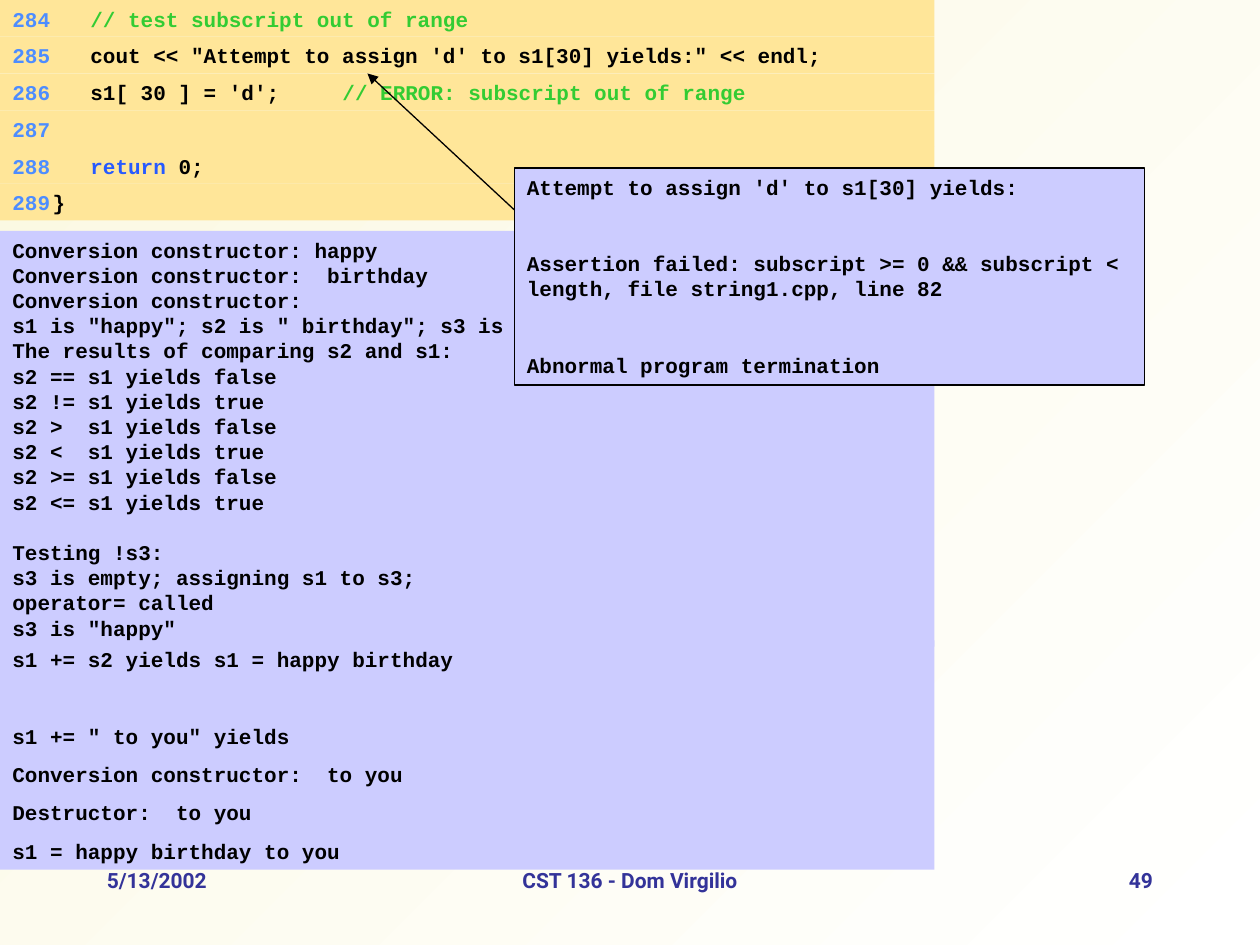
from dataclasses import dataclass
from typing import NamedTuple

from lxml.etree import SubElement
from pptx import Presentation
from pptx.dml.color import RGBColor
from pptx.enum.shapes import MSO_CONNECTOR as Connector, MSO_SHAPE as Preset
from pptx.enum.text import MSO_ANCHOR as Anchor, MSO_AUTO_SIZE as AutoSize, PP_ALIGN as Align
from pptx.oxml.ns import qn
from pptx.util import Pt

BLACK = RGBColor(0x00, 0x00, 0x00)
WHITE = RGBColor(0xFF, 0xFF, 0xFF)
CREAM = RGBColor(0xFB, 0xF8, 0xE1)
SAND = RGBColor(0xFF, 0xE6, 0x99)
LAVENDER = RGBColor(0xCC, 0xCC, 0xFF)
NUMBER_BLUE = RGBColor(0x4D, 0x8D, 0xFF)
KEYWORD_BLUE = RGBColor(0x27, 0x5A, 0xFF)
COMMENT_GREEN = RGBColor(0x33, 0xCC, 0x33)
FOOTER_BLUE = RGBColor(0x33, 0x33, 0x99)

CODE_FONT, FOOTER_FONT = "Courier New", "Roboto"
TEXT_SIZE = 12
LINE_HEIGHT = 14.4
PARA_GAP = 7.5
SECTION_GAP = LINE_HEIGHT + 2 * PARA_GAP
PANEL_WIDTH = 534
ROW_HEIGHT = 21
FIRST_LINE = 284
CODE_TABS = ((10.8, "r"), (23, "l"))


class Span(NamedTuple):
    text: str
    color: RGBColor = BLACK


class Line(NamedTuple):
    text: str
    before: float = 0


class Frame(NamedTuple):
    left: float
    top: float
    width: float
    height: float


@dataclass
class Panel:
    frame: Frame
    lines: list[Line]
    outlined: bool = False


@dataclass
class FooterItem:
    text: str
    left: float
    width: float
    align: Align


CODE_ROWS = [
    [Span("   // test subscript out of range", COMMENT_GREEN)],
    [Span("   cout << \"Attempt to assign 'd' to s1[30] yields:\" << endl;")],
    [Span("   s1[ 30 ] = 'd';     "),
     Span("// ERROR: subscript out of range", COMMENT_GREEN)],
    [],
    [Span("   return", KEYWORD_BLUE), Span(" 0;")],
    [Span("}")],
]

PANELS = [
    Panel(Frame(0, 132, PANEL_WIDTH, 237.6), [
        Line("Conversion constructor: happy"),
        Line("Conversion constructor:  birthday"),
        Line("Conversion constructor:"),
        Line('s1 is "happy"; s2 is " birthday"; s3 is ""'),
        Line("The results of comparing s2 and s1:"),
        Line("s2 == s1 yields false"),
        Line("s2 != s1 yields true"),
        Line("s2 >  s1 yields false"),
        Line("s2 <  s1 yields true"),
        Line("s2 >= s1 yields false"),
        Line("s2 <= s1 yields true"),
        Line("Testing !s3:", LINE_HEIGHT),
        Line("s3 is empty; assigning s1 to s3;"),
        Line("operator= called"),
        Line('s3 is "happy"'),
    ]),
    Panel(Frame(0, 366, PANEL_WIDTH, 131), [
        Line("s1 += s2 yields s1 = happy birthday"),
        Line('s1 += " to you" yields', SECTION_GAP),
        Line("Conversion constructor:  to you", PARA_GAP),
        Line("Destructor:  to you", PARA_GAP),
        Line("s1 = happy birthday to you", PARA_GAP),
    ]),
    Panel(Frame(294, 96, 360, 124), [
        Line("Attempt to assign 'd' to s1[30] yields:"),
        Line("Assertion failed: subscript >= 0 && subscript < length, "
             "file string1.cpp, line 82", SECTION_GAP),
        Line("Abnormal program termination", SECTION_GAP),
    ], outlined=True),
]

FOOTER = [
    FooterItem("CST 136 - Dom Virgilio", 246, 228, Align.CENTER),
    FooterItem("49", 516, 150, Align.RIGHT),
    FooterItem("5/13/2002", 54, 150, Align.LEFT),
]


def add_span(para, span: Span, font: str = CODE_FONT) -> None:
    run = para.add_run()
    run.text = span.text
    run.font.name = font
    run.font.size = Pt(TEXT_SIZE)
    run.font.bold = True
    run.font.color.rgb = span.color


def add_tabs(para) -> None:
    tabs = SubElement(para._p.get_or_add_pPr(), qn("a:tabLst"))
    for position, align in CODE_TABS:
        SubElement(tabs, qn("a:tab"), pos=str(Pt(position)), algn=align)


def add_block(page, frame: Frame, fill: RGBColor):
    """Add a plain filled rectangle whose text starts at the top left."""
    block = page.shapes.add_shape(Preset.RECTANGLE, *map(Pt, frame))
    block.shadow.inherit = False
    block.fill.solid()
    block.fill.fore_color.rgb = fill
    block.line.fill.background()
    block.text_frame.word_wrap = True
    block.text_frame.vertical_anchor = Anchor.TOP
    return block


def add_code_row(page, index: int, spans: list[Span]) -> None:
    frame = Frame(0, index * ROW_HEIGHT, PANEL_WIDTH, ROW_HEIGHT)
    para = add_block(page, frame, SAND).text_frame.paragraphs[0]
    add_tabs(para)
    para.alignment = Align.LEFT
    for span in [Span(f"\t{FIRST_LINE + index}\t", NUMBER_BLUE), *spans]:
        add_span(para, span)


def add_panel(page, panel: Panel) -> None:
    block = add_block(page, panel.frame, LAVENDER)
    if panel.outlined:
        block.line.color.rgb = BLACK
        block.line.width = Pt(0.75)
    text = block.text_frame
    text.auto_size = AutoSize.SHAPE_TO_FIT_TEXT
    for index, line in enumerate(panel.lines):
        para = text.add_paragraph() if index else text.paragraphs[0]
        para.alignment = Align.LEFT
        para.space_before = Pt(line.before)
        add_span(para, Span(line.text))


def add_arrow(page, start: tuple[float, float], end: tuple[float, float]) -> None:
    arrow = page.shapes.add_connector(Connector.STRAIGHT, *map(Pt, start + end))
    arrow.line.color.rgb = BLACK
    arrow.line.width = Pt(0.75)
    SubElement(arrow.line._get_or_add_ln(), qn("a:tailEnd"), type="triangle")
    SubElement(arrow._element.spPr, qn("a:effectLst"))


def add_footer_item(page, item: FooterItem) -> None:
    box = page.shapes.add_textbox(Pt(item.left), Pt(492), Pt(item.width), Pt(36))
    box.text_frame.word_wrap = True
    para = box.text_frame.paragraphs[0]
    para.alignment = item.align
    add_span(para, Span(item.text, FOOTER_BLUE), FOOTER_FONT)


def paint_background(page) -> None:
    fill = page.background.fill
    fill.gradient()
    fill.gradient_angle = 135
    for stop, position, color in zip(fill.gradient_stops, (0, 1), (WHITE, CREAM)):
        stop.position = position
        stop.color.rgb = color


def main() -> None:
    deck = Presentation()
    deck.slide_width, deck.slide_height = Pt(720), Pt(540)
    page = deck.slides.add_slide(deck.slide_layouts[6])
    paint_background(page)
    for index, spans in enumerate(CODE_ROWS):
        add_code_row(page, index, spans)
    for panel in PANELS:
        add_panel(page, panel)
    add_arrow(page, (294, 120), (210, 42))
    for item in FOOTER:
        add_footer_item(page, item)
    deck.save("out.pptx")


if __name__ == "__main__":
    main()
